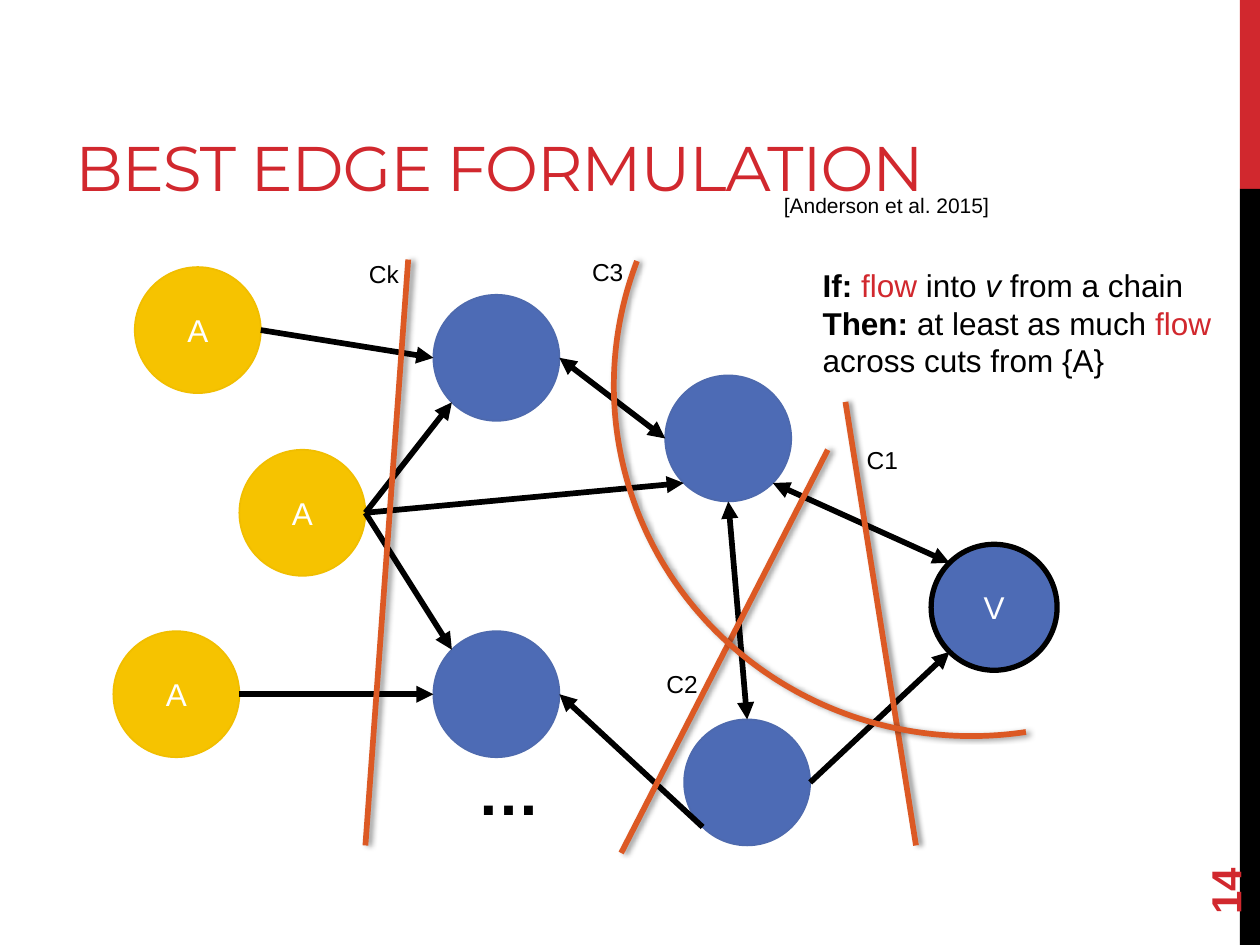
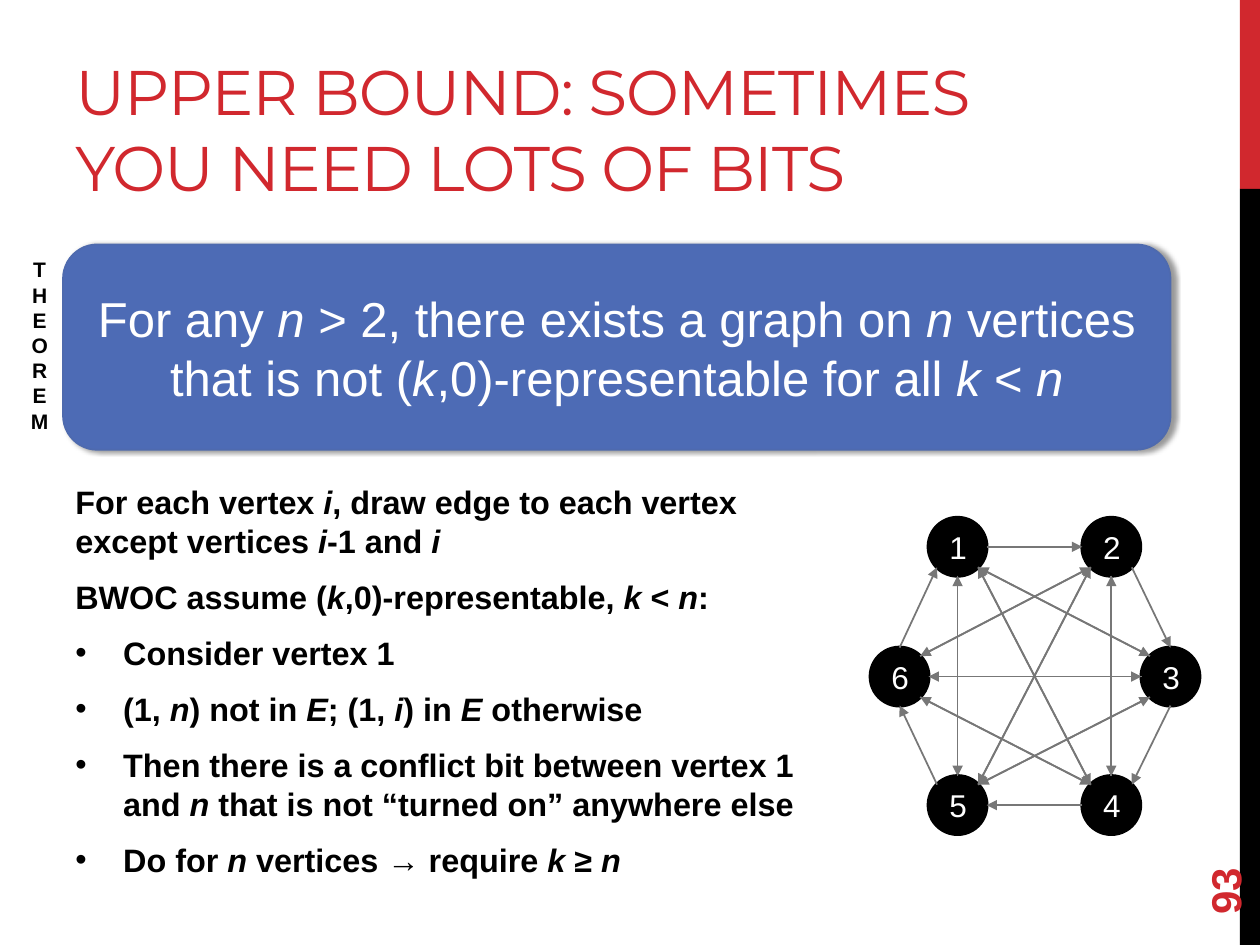
import math
from dataclasses import dataclass

import pptx
import pptx.dml.color
import pptx.enum.shapes
import pptx.enum.text
import pptx.oxml.ns
import pptx.util
from lxml import etree
from pptx.util import Inches

SHAPE = pptx.enum.shapes.MSO_SHAPE
ALIGN = pptx.enum.text.PP_ALIGN
ANCHOR = pptx.enum.text.MSO_ANCHOR
MARKS = {"*": "italic", "^": "bold", "~": "accent"}  # toggles in rich text
COMPASS = {"e": 0, "se": 45, "s": 90, "sw": 135, "w": 180, "nw": 225, "n": 270, "ne": 315}


@dataclass(frozen=True)
class Theme:
    # Colours
    red: str = "D1282E"
    black: str = "000000"
    white: str = "FFFFFF"
    blue: str = "4D6BB5"
    blue_edge: str = "4E6AAE"
    gold: str = "F6C300"
    gold_edge: str = "F1BE00"
    orange: str = "DC5924"
    grey: str = "777777"
    # Fonts and sizes
    title_font: str = "Montserrat"
    text_font: str = "Arial"
    title: float = 36
    statement: float = 28
    number: float = 24
    body: float = 18.5
    label: float = 18
    cut: float = 14
    small: float = 12
    # Line widths
    heavy: float = 3.25
    thin: float = 1


def color(code):
    return pptx.dml.color.RGBColor.from_string(code)


def add_xml(parent, tag, **attributes):
    return etree.SubElement(parent, pptx.oxml.ns.qn(tag), attributes)


def split_marks(text):
    """Yield each stretch of text with the set of marks that apply to it."""
    active, piece = set(), ""
    for letter in text:
        if letter in MARKS:
            if piece:
                yield piece, set(active)
            active ^= {MARKS[letter]}
            piece = ""
        else:
            piece += letter
    if piece:
        yield piece, active


class Painter:
    def __init__(self, theme):
        self.theme = theme
        self.deck = pptx.Presentation()
        self.deck.slide_width, self.deck.slide_height = Inches(10), Inches(7.5)
        self.page = None

    def new_page(self, title, number):
        """Start a slide with side bands, title and rotated page number."""
        theme = self.theme
        self.page = self.deck.slides.add_slide(self.deck.slide_layouts[6])
        self.shape(SHAPE.RECTANGLE, 9.84, 0, 0.16, 1.5, theme.red)
        self.shape(SHAPE.RECTANGLE, 9.84, 1.5, 0.16, 6, theme.black)
        heading = self.text(0.5, 0.17, 8.33, 1.5, [title], theme.title, theme.red,
                            font=theme.title_font, anchor=ANCHOR.BOTTOM)
        for span in heading.text_frame.paragraphs[0].runs:
            span._r.get_or_add_rPr().set("spc", "-60")
        box = self.text(9, 6.44, 1.44, 0.4, [number], theme.number, theme.red,
                        bold=True, anchor=ANCHOR.MIDDLE)
        box.rotation = 270

    def put_lines(self, box, lines, size, ink, bold=False, align=ALIGN.LEFT,
                  anchor=ANCHOR.TOP, font=None, before=0, after=0):
        """Fill a shape with marked-up paragraphs; a leading • makes a bullet."""
        frame = box.text_frame
        frame.word_wrap, frame.vertical_anchor = True, anchor
        for index, line in enumerate(lines):
            para = frame.add_paragraph() if index else frame.paragraphs[0]
            para.alignment = align
            para.space_before = pptx.util.Pt(before if index else 0)
            para.space_after = pptx.util.Pt(after)
            if line.startswith("•"):
                line = line[1:]
                properties = para._p.get_or_add_pPr()
                properties.set("marL", str(Inches(0.38)))
                properties.set("indent", str(-Inches(0.38)))
                add_xml(properties, "a:buFont", typeface=self.theme.text_font)
                add_xml(properties, "a:buChar", char="•")
            para.font.name = font or self.theme.text_font
            para.font.size = pptx.util.Pt(size)
            para.font.bold = bold
            para.font.color.rgb = color(ink)
            for piece, marks in split_marks(line):
                span = para.add_run()
                span.text = piece
                if "italic" in marks:
                    span.font.italic = True
                if "bold" in marks:
                    span.font.bold = True
                if "accent" in marks:
                    span.font.color.rgb = color(self.theme.red)

    def text(self, left, top, width, height, lines, size, ink=None, **style):
        box = self.page.shapes.add_textbox(*map(Inches, (left, top, width, height)))
        self.put_lines(box, lines, size, ink or self.theme.black, **style)
        return box

    def shape(self, kind, left, top, width, height, fill=None, edge=None, weight=1):
        shape = self.page.shapes.add_shape(kind, *map(Inches, (left, top, width, height)))
        shape.shadow.inherit = False
        if fill:
            shape.fill.solid()
            shape.fill.fore_color.rgb = color(fill)
        else:
            shape.fill.background()
        if edge:
            shape.line.color.rgb = color(edge)
            shape.line.width = pptx.util.Pt(weight)
        else:
            shape.line.fill.background()
        return shape

    def cast_shadow(self, shape):
        effects = shape._element.spPr.find(pptx.oxml.ns.qn("a:effectLst"))
        shadow = add_xml(effects, "a:outerShdw", blurRad="40000", dist="23000",
                         dir="0", rotWithShape="0")
        ink = add_xml(shadow, "a:srgbClr", val=self.theme.black)
        add_xml(ink, "a:alpha", val="40000")

    def node(self, left, top, size, fill, edge, weight=1, label=""):
        """Draw a round vertex and return a function giving its compass points."""
        circle = self.shape(SHAPE.OVAL, left, top, size, size, fill, edge, weight)
        if label:
            self.put_lines(circle, [label], self.theme.label, self.theme.white,
                           align=ALIGN.CENTER, anchor=ANCHOR.MIDDLE)
        radius = size / 2

        def point(side):
            angle = math.radians(COMPASS[side])
            return (left + radius + radius * math.cos(angle),
                    top + radius + radius * math.sin(angle))
        return point

    def line(self, start, end, ink, weight, head=False, tail=False):
        line = self.page.shapes.add_connector(
            pptx.enum.shapes.MSO_CONNECTOR.STRAIGHT, *map(Inches, (*start, *end)))
        line.line.color.rgb = color(ink)
        line.line.width = pptx.util.Pt(weight)
        stroke = line.line._get_or_add_ln()
        for tag, wanted in (("a:headEnd", head), ("a:tailEnd", tail)):
            if wanted:
                add_xml(stroke, tag, type="triangle")
        add_xml(line._element.spPr, "a:effectLst")
        return line


def edge_formulation(painter):
    theme = painter.theme
    painter.new_page("BEST EDGE FORMULATION", "14")
    painter.text(4.79, 1.48, 3.16, 0.3, ["[Anderson et al. 2015]"], theme.small,
                 align=ALIGN.RIGHT)

    # Vertices
    first, second, third = [
        painter.node(left, top, 1, theme.gold, theme.gold_edge, label="A")
        for left, top in ((1.07, 2.12), (1.9, 3.57), (0.9, 5.01))]
    target = painter.node(7.39, 4.32, 1, theme.blue, theme.black, 3, "V")
    lower, middle, left_low, left_high = [
        painter.node(left, top, 1, theme.blue, theme.blue_edge)
        for left, top in ((5.43, 5.71), (5.28, 2.98), (3.44, 5.01), (3.44, 2.34))]

    # Edges: from, to, both ways
    for start, end, both in (
            (lower("e"), target("sw"), False),
            (second("e"), left_high("sw"), False),
            (second("e"), middle("sw"), False),
            (second("e"), left_low("nw"), False),
            (third("e"), left_low("w"), False),
            (first("e"), left_high("w"), False),
            (middle("se"), target("nw"), True),
            (left_high("e"), middle("w"), True),
            (middle("s"), lower("n"), True),
            (lower("sw"), left_low("e"), False)):
        painter.line(start, end, theme.black, theme.heavy, head=both, tail=True)

    painter.text(6.43, 2.06, 3.41, 1.01,
                 ["^If: ^~flow~ into *v* from a chain",
                  "^Then:^ at least as much ~flow~ across cuts from {A}"], theme.label)

    # Cuts
    for start, end in (((6.71, 3.19), (7.27, 6.71)),
                       ((6.57, 3.57), (4.93, 6.77)),
                       ((3.24, 2.06), (2.9, 6.71))):
        painter.cast_shadow(painter.line(start, end, theme.orange, theme.heavy))
    arc = painter.shape(SHAPE.ARC, 4.87, 0.24, 5.72, 5.6, None, theme.orange, theme.heavy)
    arc.adjustments[0], arc.adjustments[1] = 162.98, 18
    arc.rotation = 169.9
    painter.cast_shadow(arc)
    for name, left, top in (("C1", 6.78, 3.48), ("C2", 5.19, 5.26),
                            ("C3", 4.6, 1.99), ("Ck", 2.83, 2.01)):
        painter.text(left, top, 0.69, 0.34, [name], theme.cut)
    painter.text(3.69, 5.92, 1.67, 0.71, ["…"], theme.title, bold=True)


def upper_bound(painter):
    theme = painter.theme
    painter.new_page("UPPER BOUND: SOMETIMES YOU NEED LOTS OF BITS", "93")

    # Theorem
    panel = painter.shape(SHAPE.ROUNDED_RECTANGLE, 0.5, 1.94, 8.79, 1.63,
                          theme.blue, theme.blue_edge)
    painter.cast_shadow(panel)
    painter.put_lines(panel, ["For any *n* > 2, there exists a graph on *n* vertices that is "
                              "not (*k*,0)-representable for all *k* < *n*"],
                      theme.statement, theme.white, align=ALIGN.CENTER, anchor=ANCHOR.MIDDLE)
    painter.text(0.13, 1.99, 0.37, 1.51, ["THEOREM"], theme.small, bold=True,
                 align=ALIGN.CENTER)

    # Proof
    painter.text(0.5, 3.78, 6.23, 3.27, [
        "For each vertex *i*, draw edge to each vertex except vertices *i*-1 and *i*",
        "BWOC assume (*k*,0)-representable, *k *< *n*:",
        "•Consider vertex 1",
        "•(1, *n*) not in *E*; (1, *i*) in *E* otherwise",
        "•Then there is a conflict bit between vertex 1 and *n* that is not "
        "“turned on” anywhere else",
        "•Do for *n* vertices → require *k* ≥ *n*",
    ], theme.body, bold=True, before=3.7, after=6)

    # Hexagon of vertices
    places = {1: (7.37, 4.11), 2: (8.59, 4.11), 3: (9.06, 5.14),
              4: (8.59, 6.16), 5: (7.37, 6.16), 6: (6.91, 5.14)}
    nodes = {key: painter.node(*place, 0.46, theme.black, theme.black, 2.25, str(key))
             for key, place in places.items()}

    # Sides where each pair of vertices is joined
    sides = {(1, 2): ("e", "w"), (1, 3): ("se", "nw"), (1, 4): ("se", "nw"),
             (1, 5): ("s", "n"), (1, 6): ("sw", "n"), (2, 3): ("se", "n"),
             (2, 4): ("s", "n"), (2, 5): ("sw", "ne"), (2, 6): ("sw", "ne"),
             (3, 4): ("s", "ne"), (3, 5): ("sw", "ne"), (3, 6): ("w", "e"),
             (4, 5): ("w", "e"), (4, 6): ("nw", "se"), (5, 6): ("nw", "s")}
    sides.update({(b, a): (end, start) for (a, b), (start, end) in list(sides.items())})

    # Every vertex points to all but itself and the one before it
    for (source, goal), (start, end) in sides.items():
        if goal % 6 != (source - 1) % 6:
            painter.line(nodes[source](start), nodes[goal](end),
                         theme.grey, theme.thin, tail=True)


def main():
    painter = Painter(Theme())
    edge_formulation(painter)
    upper_bound(painter)
    painter.deck.save("out.pptx")


if __name__ == "__main__":
    main()
